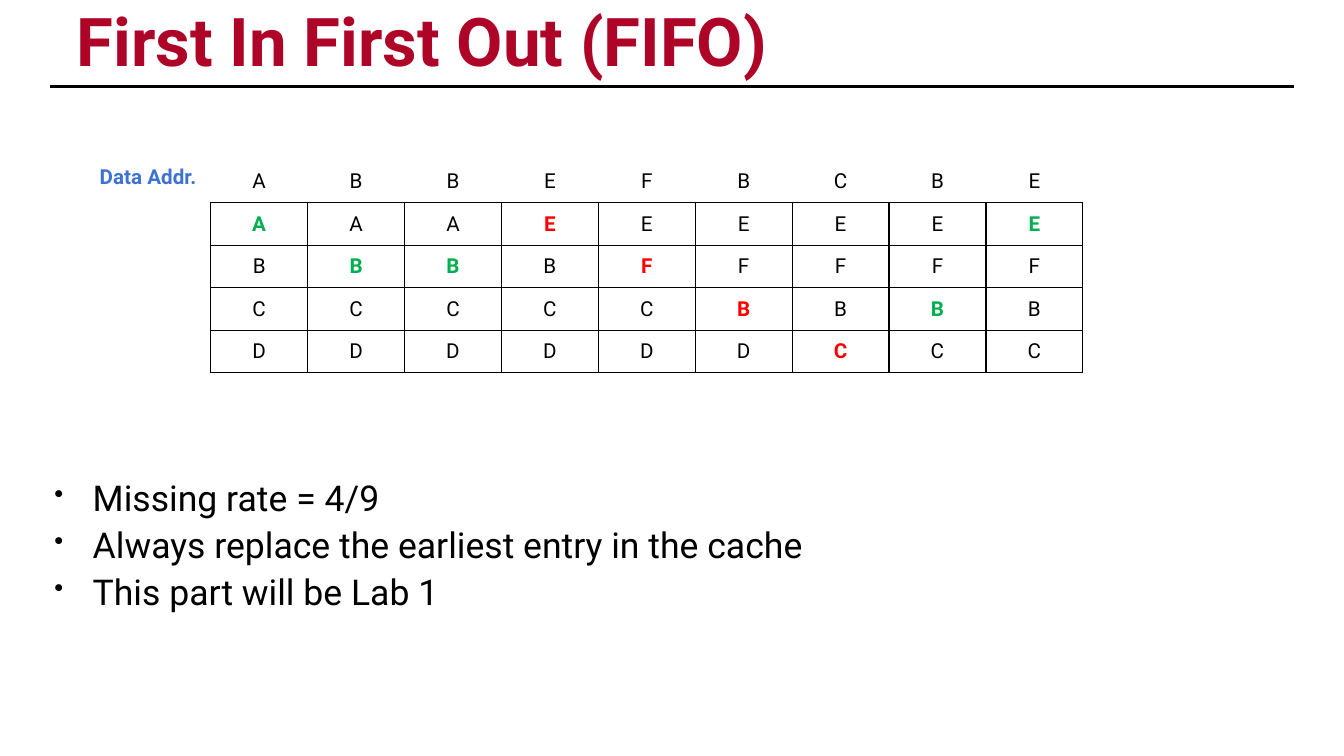
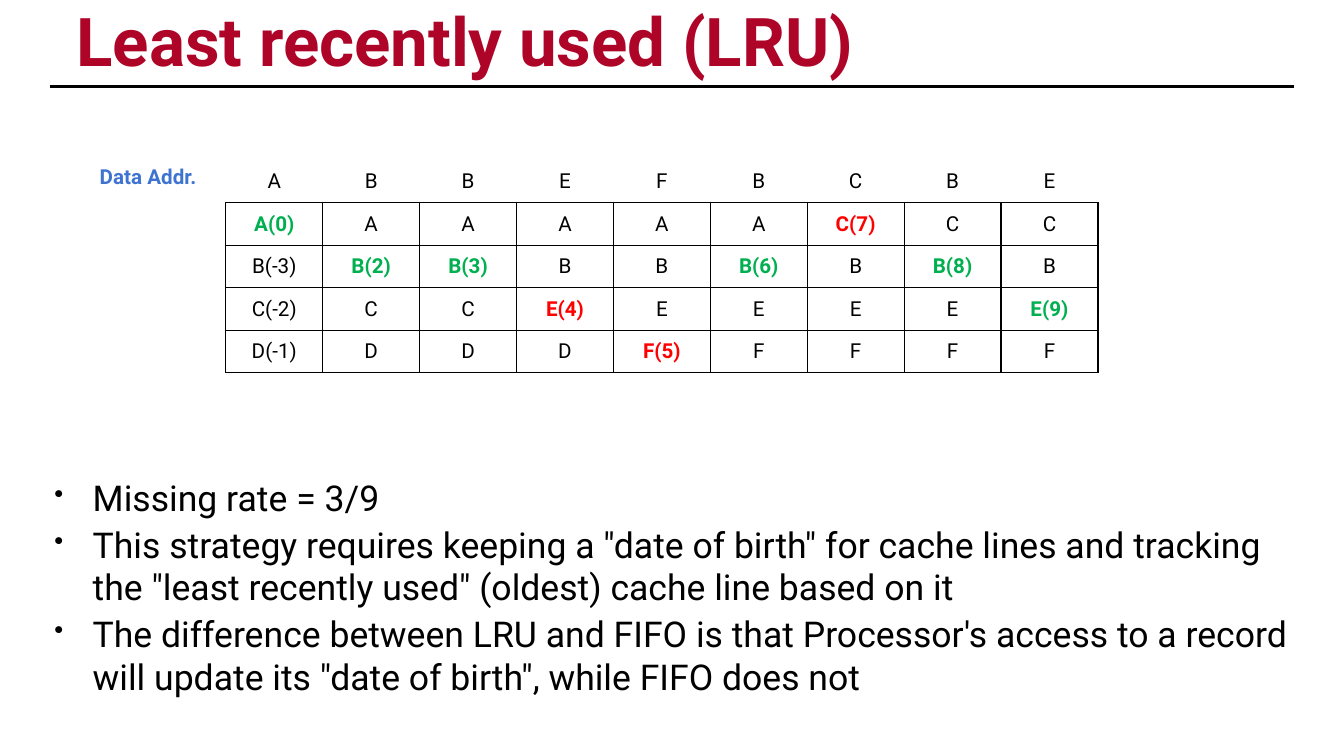
"""Build two slides that compare the FIFO and LRU cache replacement strategies."""
from lxml.etree import SubElement
from pptx import Presentation
from pptx.dml.color import RGBColor
from pptx.enum.shapes import MSO_CONNECTOR as Connector
from pptx.enum.text import MSO_ANCHOR as Anchor, PP_ALIGN as Align
from pptx.oxml.ns import qn
from pptx.util import Inches, Pt

FONT = "Roboto"
BLACK, TITLE_RED, LABEL_BLUE = "000000", "AE0428", "3E74D1"
MARK_COLORS = {"+": "00B050", "!": "FF0000"}
ADDRESSES = "A B B E F B C B E"

SLIDES = [
    {
        "title": "First In First Out (FIFO)",
        "table_left": 2.09,
        "cache": [
            "A+ A A E! E E E E E+",
            "B B+ B+ B F! F F F F",
            "C C C C C B! B B+ B",
            "D D D D D D C! C C",
        ],
        "bullets": [
            "Missing rate = 4/9",
            "Always replace the earliest entry in the cache",
            "This part will be Lab 1",
        ],
    },
    {
        "title": "Least recently used (LRU)",
        "table_left": 2.24,
        "cache": [
            "A(0)+ A A A A A C(7)! C C",
            "B(-3) B(2)+ B(3)+ B B B(6)+ B B(8)+ B",
            "C(-2) C C E(4)! E E E E E(9)+",
            "D(-1) D D D F(5)! F F F F",
        ],
        "bullets": [
            "Missing rate = 3/9",
            'This strategy requires keeping a "date of birth" for cache lines and tracking '
            'the "least recently used" (oldest) cache line based on it',
            "The difference between LRU and FIFO is that Processor's access to a record "
            'will update its "date of birth", while FIFO does not',
        ],
    },
]


def add_run(para, text, size, color=BLACK, bold=False):
    span = para.add_run()
    span.text = text
    span.font.name = FONT
    span.font.size = Pt(size)
    span.font.bold = bold
    span.font.color.rgb = RGBColor.from_string(color)


def add_box(page, left, top, width, height, inset=None):
    box = page.shapes.add_textbox(Inches(left), Inches(top), Inches(width), Inches(height))
    frame = box.text_frame
    frame.word_wrap = True
    if inset is not None:
        frame.margin_left = frame.margin_right = Inches(inset)
        frame.margin_top = frame.margin_bottom = Inches(inset)
    return frame


deck = Presentation()
deck.slide_width, deck.slide_height = Inches(13.33), Inches(7.5)

for content in SLIDES:
    page = deck.slides.add_slide(deck.slide_layouts[6])

    rule = page.shapes.add_connector(
        Connector.STRAIGHT, Inches(0.5), Inches(0.86), Inches(12.83), Inches(0.86))
    rule.line.color.rgb = RGBColor.from_string(BLACK)
    rule.line.width = Pt(2)
    SubElement(rule._element.spPr, qn("a:effectLst"))

    title = add_box(page, 0.73, 0.14, 11.88, 0.66, inset=0.03)
    title.vertical_anchor = Anchor.BOTTOM
    title.paragraphs[0].line_spacing = 0.7
    add_run(title.paragraphs[0], content["title"], 48, TITLE_RED, True)

    body = add_box(page, 0.51, 4.69, 12.32, 2.26, inset=0.03)
    for index, bullet in enumerate(content["bullets"]):
        para = body.add_paragraph() if index else body.paragraphs[0]
        properties = para._p.get_or_add_pPr()
        properties.set("marL", str(Inches(0.38)))
        properties.set("indent", str(-Inches(0.38)))
        SubElement(properties, qn("a:buSzPct"), val="75000")
        SubElement(properties, qn("a:buChar"), char="•")
        if index:
            para.space_before = Pt(3)
        add_run(para, bullet, 25.4)

    rows = [line.split() for line in [ADDRESSES, *content["cache"]]]
    table = page.shapes.add_table(
        len(rows), len(rows[0]), Inches(content["table_left"]), Inches(1.59),
        Inches(8.65), Inches(2.11)).table
    table.first_row = table.horz_banding = False
    for row_index, row in enumerate(rows):
        for column_index, entry in enumerate(row):
            cell = table.cell(row_index, column_index)
            cell.vertical_anchor = Anchor.MIDDLE
            cell.margin_left = cell.margin_right = Inches(0.09)
            cell.margin_top = cell.margin_bottom = Inches(0.04)
            cell_properties = cell._tc.get_or_add_tcPr()
            for side in "LRTB":
                border = SubElement(cell_properties, qn(f"a:ln{side}"), w=str(Pt(1)))
                if row_index or side == "B":
                    fill = SubElement(border, qn("a:solidFill"))
                    SubElement(fill, qn("a:srgbClr"), val=BLACK)
                else:
                    SubElement(border, qn("a:noFill"))
            cell.fill.background()
            para = cell.text_frame.paragraphs[0]
            para.alignment = Align.CENTER
            mark = entry[-1]
            add_run(para, entry.rstrip("+!"), 14.7,
                    MARK_COLORS.get(mark, BLACK), mark in MARK_COLORS)

    label = add_box(page, 0.89, 1.58, 1.23, 0.35)
    label.word_wrap = False
    add_run(label.paragraphs[0], "Data Addr.", 14.7, LABEL_BLUE, True)

deck.save("out.pptx")
